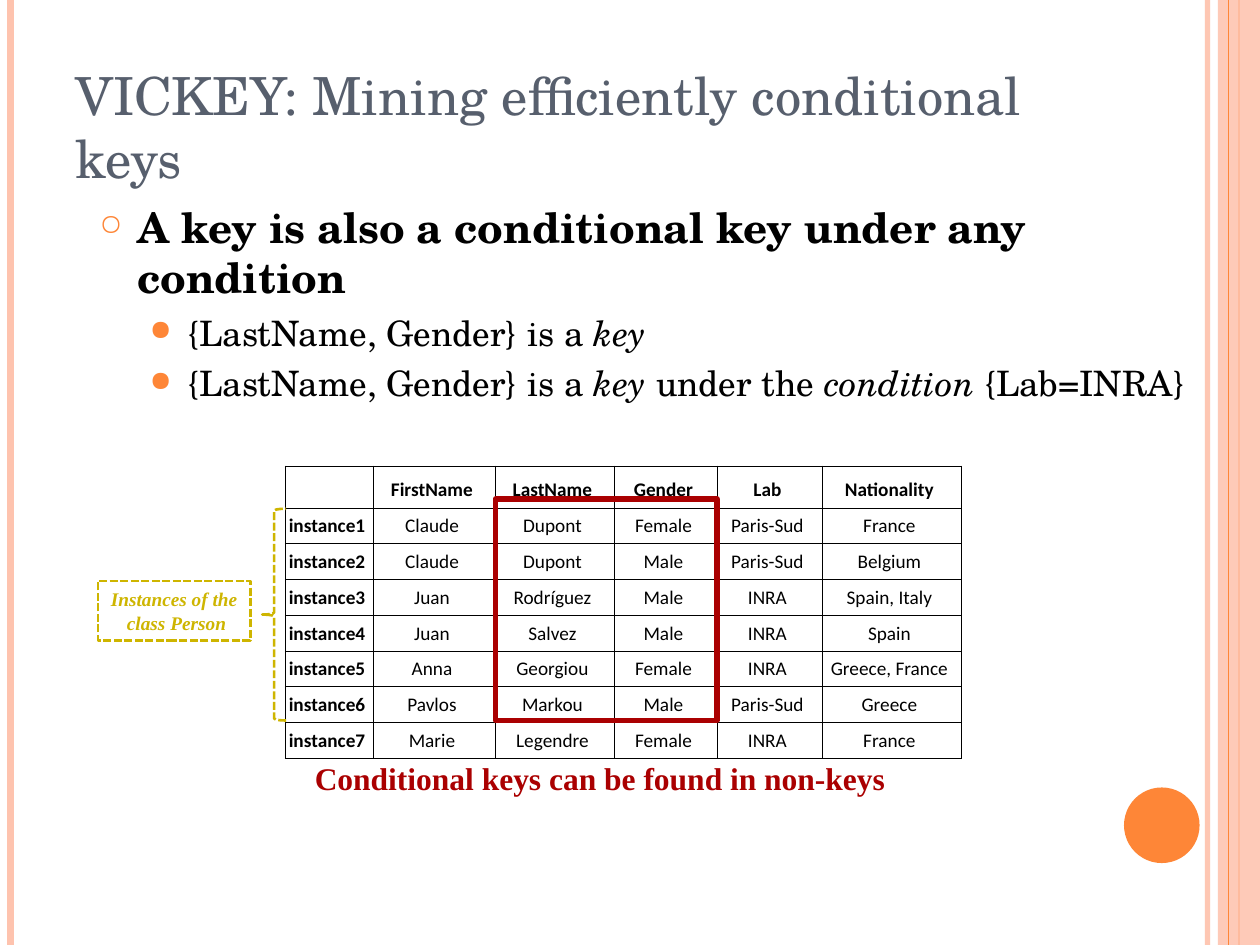
import pptx
import pptx.util
import pptx.dml.color
import pptx.enum.dml
import pptx.enum.shapes
import pptx.enum.text
import pptx.oxml.ns
from lxml import etree

Pt = pptx.util.Pt
RGBColor = pptx.dml.color.RGBColor
SHAPE = pptx.enum.shapes.MSO_SHAPE
ANCHOR = pptx.enum.text.MSO_ANCHOR
ALIGN = pptx.enum.text.PP_ALIGN
DASH = pptx.enum.dml.MSO_LINE.SQUARE_DOT
qn = pptx.oxml.ns.qn

ORANGE = RGBColor(0xFE, 0x86, 0x37)
PEACH = RGBColor(0xFE, 0xC3, 0xAE)
SLATE = RGBColor(0x57, 0x5F, 0x6D)
BLACK = RGBColor(0, 0, 0)
GOLD = RGBColor(0xCE, 0xB5, 0x00)
RED = RGBColor(0xAA, 0x00, 0x01)

SERIF = "TeX Gyre Schola"
TIMES = "Times New Roman"
TITLE = {"name": SERIF, "size": Pt(30), "color": SLATE}
KEY_POINT = {"name": SERIF, "size": Pt(24), "color": BLACK, "bold": True}
DETAIL = {"name": SERIF, "size": Pt(20), "color": BLACK}
TERM = {**DETAIL, "italic": True}
CALLOUT = {"name": TIMES, "size": Pt(11), "color": GOLD, "bold": True, "italic": True}
CAPTION = {"name": TIMES, "size": Pt(18), "color": RED, "bold": True}
CELL = {"name": "Calibri", "size": Pt(11), "color": BLACK, "bold": False}
HEADING = {**CELL, "bold": True}


def add(parent, tag, **attrs):
    return etree.SubElement(parent, qn(tag), attrs)


class Deck:
    """Holds the presentation, its current slide and the drawing style."""

    def __init__(self, width, height):
        self.prs = pptx.Presentation()
        self.prs.slide_width, self.prs.slide_height = Pt(width), Pt(height)
        self.s = self.prs.slides.add_slide(self.prs.slide_layouts[6])

    def format(self, font, style):
        for key, value in style.items():
            if key == "color":
                font.color.rgb = value
            else:
                setattr(font, key, value)

    def alpha(self, fill_parent, percent):
        color = next(fill_parent.iter(qn("a:srgbClr")))
        add(color, "a:alpha", val=str(percent * 1000))

    def line(self, x, width, color, opacity=100):
        """Vertical rule over the full slide height."""
        kind = pptx.enum.shapes.MSO_CONNECTOR.STRAIGHT
        sp = self.s.shapes.add_connector(kind, Pt(x), 0, Pt(x), self.prs.slide_height)
        sp.line.color.rgb = color
        sp.line.width = Pt(width)
        if opacity < 100:
            self.alpha(sp._element.spPr, opacity)
        add(sp._element.spPr, "a:effectLst")

    def shape(self, kind, box, fill=None, line=None, width=1.5, dash=None, opacity=100):
        sp = self.s.shapes.add_shape(kind, *map(Pt, box))
        sp.shadow.inherit = False
        if fill is None:
            sp.fill.background()
        else:
            sp.fill.solid()
            sp.fill.fore_color.rgb = fill
            if opacity < 100:
                self.alpha(sp._element.spPr, opacity)
        if line is None:
            sp.line.fill.background()
        else:
            sp.line.color.rgb = line
            sp.line.width = Pt(width)
            sp.line.dash_style = dash
        return sp

    def paragraph(self, tf, runs, first=False, align=None):
        p = tf.paragraphs[0] if first else tf.add_paragraph()
        p.alignment = align
        for text, style in runs:
            r = p.add_run()
            r.text = text
            self.format(r.font, style)
        return p

    def text(self, box, paragraphs, wrap=True, anchor=ANCHOR.TOP):
        tf = self.s.shapes.add_textbox(*map(Pt, box)).text_frame
        tf.word_wrap = wrap
        tf.vertical_anchor = anchor
        return [self.paragraph(tf, runs, i == 0) for i, runs in enumerate(paragraphs)]

    def bullet(self, p, char, level, left, size, before):
        p.level = level
        p.space_before = Pt(before)
        pPr = p._p.get_or_add_pPr()
        pPr.set("marL", str(Pt(left)))
        pPr.set("indent", str(-Pt(21.6)))
        add(add(pPr, "a:buClr"), "a:srgbClr", val=str(ORANGE))
        add(pPr, "a:buSzPct", val=str(size * 1000))
        add(pPr, "a:buChar", char=char)

    def border(self, cell, width):
        tcPr = cell._tc.get_or_add_tcPr()
        for side in "LRTB":
            ln = add(tcPr, f"a:ln{side}", w=str(Pt(width)))
            add(add(ln, "a:solidFill"), "a:srgbClr", val=str(BLACK))

    def table(self, x, y, widths, heights, rows):
        frame = self.s.shapes.add_table(len(rows), len(widths), Pt(x), Pt(y),
                                        Pt(sum(widths)), Pt(sum(heights)))
        table = frame.table
        table.first_row = table.horz_banding = False
        for column, width in zip(table.columns, widths):
            column.width = Pt(width)
        for i, values in enumerate(rows):
            table.rows[i].height = Pt(heights[i])
            for j, value in enumerate(values):
                cell = table.cell(i, j)
                cell.margin_left, cell.margin_right = Pt(0.7), Pt(3.2)
                cell.vertical_anchor = ANCHOR.BOTTOM
                self.border(cell, 0.45)
                cell.fill.background()
                style = HEADING if i == 0 or j == 0 else CELL
                runs = [(value, style)] if value else []
                p = self.paragraph(cell.text_frame, runs, True, ALIGN.CENTER)
                if not value:
                    self.format(p.font, {"size": style["size"]})


def main():
    deck = Deck(720, 540)

    # Side decoration
    deck.line(690, 3, PEACH, 93)
    deck.line(6, 4.5, PEACH)
    deck.line(708, 1.5, ORANGE)
    deck.shape(SHAPE.RECTANGLE, (696, 0, 24, 540), fill=PEACH, opacity=87)
    deck.line(702, 0.75, ORANGE)
    deck.shape(SHAPE.OVAL, (642.3, 450, 43.2, 43.2), fill=ORANGE)

    # Title and key points
    deck.text((36, 21.6, 588, 90),
              [[("VICKEY: Mining efficiently conditional keys", TITLE)]],
              anchor=ANCHOR.BOTTOM)
    key = [("{LastName, Gender} is a ", DETAIL), ("key", TERM)]
    points = deck.text((49.7, 111.6, 645.8, 386.6), [
        [("A key is also a conditional key under any condition", KEY_POINT)],
        key,
        key + [(" under the ", DETAIL), ("condition", TERM), (" {Lab=INRA}", DETAIL)],
    ])
    deck.bullet(points[0], "○", 0, 21.6, 70, 6)
    for p in points[1:]:
        deck.bullet(p, "●", 1, 50.4, 80, 5)

    # Callout for the class
    sp = deck.shape(SHAPE.RECTANGLE, (56, 332, 87, 34), line=GOLD, dash=DASH)
    tf = sp.text_frame
    tf.word_wrap = False
    for i, text in enumerate(("Instances of the", " class Person")):
        deck.paragraph(tf, [(text, CALLOUT)], i == 0, ALIGN.CENTER)

    # Instances table
    people = [
        ("Claude", "Dupont", "Female", "Paris-Sud", "France"),
        ("Claude", "Dupont", "Male", "Paris-Sud", "Belgium"),
        ("Juan", "Rodríguez", "Male", "INRA", "Spain, Italy"),
        ("Juan", "Salvez", "Male", "INRA", "Spain"),
        ("Anna", "Georgiou", "Female", "INRA", "Greece, France"),
        ("Pavlos", "Markou", "Male", "Paris-Sud", "Greece"),
        ("Marie", "Legendre", "Female", "INRA", "France"),
    ]
    rows = [("", "FirstName", "LastName", "Gender", "Lab", "Nationality")]
    rows += [(f"instance{n}", *person) for n, person in enumerate(people, 1)]
    deck.table(163, 266.3, [50.3, 69.7, 68, 58.9, 60, 79.4],
               [24] + [20.4] * len(people), rows)

    # Brace, highlighted columns and conclusion
    deck.shape(SHAPE.LEFT_BRACE, (149.8, 290.7, 13.7, 121), line=GOLD, dash=DASH)
    deck.shape(SHAPE.RECTANGLE, (283, 285.2, 126.7, 126.5), line=RED, width=3)
    deck.text((172.8, 430, 340.6, 28.8),
              [[("Conditional keys can be found in non-keys", CAPTION)]], wrap=False)

    deck.prs.save("out.pptx")


if __name__ == "__main__":
    main()
